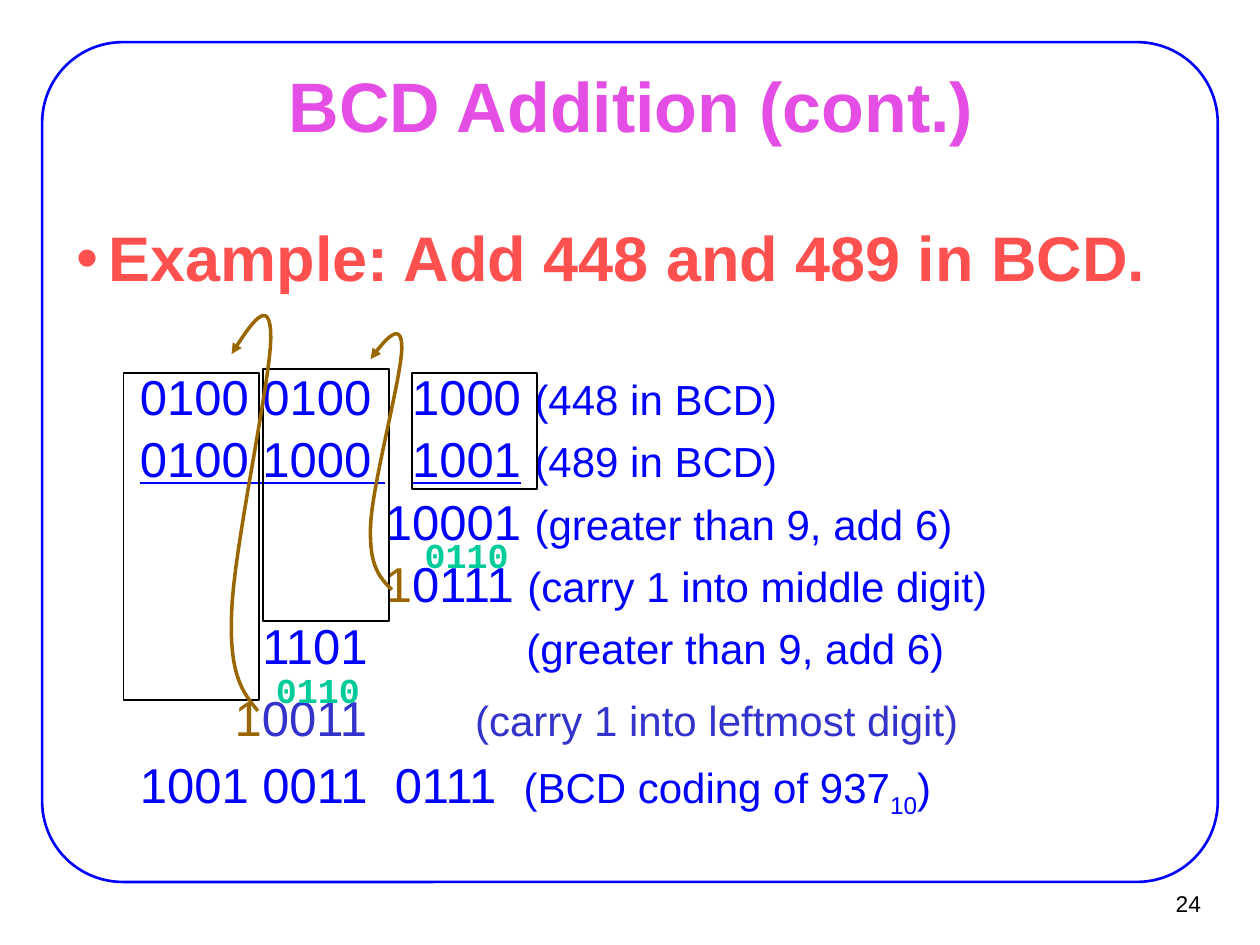
from pptx import Presentation
from pptx.dml.color import RGBColor
from pptx.enum import shapes as kinds, text as txt
from pptx.oxml.ns import qn
from pptx.util import Cm, Pt
from lxml import etree

HUES = {"frame": "0000FF", "title": "E44EE4", "head": "FF5050", "sum": "0000FF",
        "last": "3333CC", "carry": "996600", "six": "00CC99", "ink": "000000"}


def hue(name):
    return RGBColor.from_string(HUES[name])


def style(run, size, color, bold=False, face="Arial"):
    font = run.font
    font.size, font.bold, font.name = Pt(size), bold, face
    font.color.rgb = hue(color)


def place(shape, box):
    shape.left, shape.top, shape.width, shape.height = map(Cm, box)


def outline(shape, color, width):
    shape.shadow.inherit = False
    shape.fill.background()
    shape.line.color.rgb = hue(color)
    shape.line.width = Pt(width)


def rect(slide, box, color, width, kind=kinds.MSO_SHAPE.RECTANGLE):
    shape = slide.shapes.add_shape(kind, *map(Cm, box))
    outline(shape, color, width)
    return shape


def label(slide, box, words, size, color, bold=False, face="Arial"):
    frame = slide.shapes.add_textbox(*map(Cm, box)).text_frame
    frame.word_wrap = True
    para = frame.paragraphs[0]
    para.text = words
    style(para.runs[0], size, color, bold, face)
    return frame


def indent(para, left, first):
    props = para._p.get_or_add_pPr()
    props.set("marL", str(Cm(left)))
    props.set("indent", str(Cm(first)))
    return props


# Title
def add_title(slide, box):
    shape = slide.shapes.title
    place(shape, box)
    frame = shape.text_frame
    frame.text = "BCD Addition (cont.)"
    frame.vertical_anchor = txt.MSO_ANCHOR.MIDDLE
    frame.auto_size = txt.MSO_AUTO_SIZE.NONE
    para = frame.paragraphs[0]
    para.alignment = txt.PP_ALIGN.CENTER
    style(para.runs[0], 40, "title", True)


# Worked sum: start, space before, runs of (text, size, colour, extra tracking in points)
ROWS = [
    (1.27, 5.4, [("0100 0100", 28, "sum"), (" ", 28, "sum", 15.6), ("1000 ", 28, "sum"),
                 ("(448 in BCD)", 24, "sum")]),
    (1.27, 5.4, [("0100 1000", 28, "sum"), (" ", 28, "sum", 15.6), ("1001", 28, "sum"),
                 (" ", 28, "sum"), ("(489 in BCD)", 24, "sum")]),
    (6.21, 5.4, [("10001 ", 28, "sum"), ("(greater than 9, add 6)", 24, "sum")]),
    (6.21, 5.4, [("1", 28, "carry"), ("0111 ", 28, "sum"),
                 ("(carry 1 into middle digit)", 24, "sum")]),
    (3.74, 5.4, [("1101", 28, "sum"), (" ", 28, "sum", 83),
                 ("(greater than 9, add 6)", 24, "sum")]),
    (3.18, 10.4, [("1", 28, "carry"), ("0011", 28, "last"), (" ", 28, "last", 54),
                  ("(carry 1 into leftmost digit)", 24, "last")]),
    (1.27, 6, [("1001 0011", 28, "sum"), (" ", 28, "sum", 7.8), ("0111", 28, "sum"),
               (" ", 28, "sum", 7.8), ("(BCD coding of 937", 24, "sum"),
               ("10", 24, "sum"), (")", 24, "sum")]),
]


def add_row(frame, start, before, parts):
    para = frame.add_paragraph()
    para.line_spacing, para.space_before = 0.9, Pt(before)
    etree.SubElement(indent(para, 0, start), qn("a:buNone"))
    for words, size, color, *gap in parts:
        run = para.add_run()
        run.text = words
        style(run, size, color)
        if gap:
            run.font._element.set("spc", str(round(gap[0] * 100)))
    return para


def add_body(slide, box):
    shape = slide.placeholders[1]
    place(shape, box)
    frame = shape.text_frame
    frame.auto_size = txt.MSO_AUTO_SIZE.NONE
    frame.margin_left = frame.margin_right = Cm(0.28)
    frame.margin_top = frame.margin_bottom = Cm(0.13)
    frame.text = "Example: Add 448 and 489 in BCD."
    head = frame.paragraphs[0]
    head.line_spacing, head.space_before, head.space_after = 0.9, Pt(0), Pt(39)
    indent(head, 0.64, -0.64)
    style(head.runs[0], 36, "head", True)
    rows = [add_row(frame, *row) for row in ROWS]
    for run in rows[1].runs[:3]:
        run.font.underline = True
    rows[-1].runs[-2].font._element.set("baseline", "-25000")


# Carry arrow: cubic curves through points given from the box corner
def add_carry(slide, box, points, steps=16):
    left, top = box
    spots = [points[0]]
    for i in range(0, len(points) - 1, 3):
        a, b, c, d = points[i:i + 4]
        for n in range(1, steps + 1):
            t = n / steps
            s = 1 - t
            spots.append([s**3 * a[k] + 3 * s * s * t * b[k] + 3 * s * t * t * c[k]
                          + t**3 * d[k] for k in (0, 1)])
    path = [(Cm(left + x), Cm(top + y)) for x, y in spots]
    pen = slide.shapes.build_freeform(*path[0])
    pen.add_line_segments(path[1:], close=False)
    curve = pen.convert_to_shape()
    outline(curve, "carry", 2)
    etree.SubElement(curve.line._get_or_add_ln(), qn("a:tailEnd"), type="triangle")


# Digit columns, carries and the added sixes
def add_marks(slide, box):
    left, top = box
    for x, y, wide, high in ((5.82, 1.6, 2.51, 2.34), (2.82, 1.52, 2.54, 5.08),
                             (0, 1.6, 2.74, 6.6)):
        rect(slide, (left + x, top + y, wide, high), "ink", 1)
    add_carry(slide, (left + 4.95, top + 0.53),
              [(0.46, 5.44), (0.23, 5.21), (0, 4.98), (0.03, 4.17), (0.05, 3.35),
               (0.66, 1.14), (0.66, 0.56), (0.66, 0), (0.33, 0.38), (0.03, 0.79)])
    add_carry(slide, (left + 2.13, top),
              [(0.58, 8.41), (0.28, 8.05), (0, 7.7), (0.05, 6.45), (0.08, 5.18),
               (0.84, 1.75), (0.84, 0.89), (0.84, 0), (0.43, 0.61), (0.05, 1.22)])
    for x, y in ((5.82, 4.7), (2.82, 7.42)):
        six = label(slide, (left + x, top + y, 3.4, 1.09), "0110", 20, "six",
                    True, "Courier New")
        six.margin_top = Cm(0.14)


def add_number(slide, box):
    frame = label(slide, box, "24", 13, "ink")
    frame.vertical_anchor = txt.MSO_ANCHOR.MIDDLE
    frame.paragraphs[0].alignment = txt.PP_ALIGN.RIGHT


def main():
    deck = Presentation()
    deck.slide_width, deck.slide_height = Cm(25.4), Cm(19.05)
    slide = deck.slides.add_slide(deck.slide_layouts[1])
    edge = rect(slide, (0.85, 0.85, 23.7, 16.93), "frame", 1.5,
                kinds.MSO_SHAPE.ROUNDED_RECTANGLE)
    edge.adjustments[0] = 0.096
    add_title(slide, (1.93, 1.48, 21.59, 1.24))
    add_body(slide, (1.27, 4.45, 24.33, 12.57))
    add_marks(slide, (2.49, 5.92))
    add_number(slide, (22.91, 17.75, 1.55, 0.94))
    deck.save("out.pptx")


if __name__ == "__main__":
    main()
